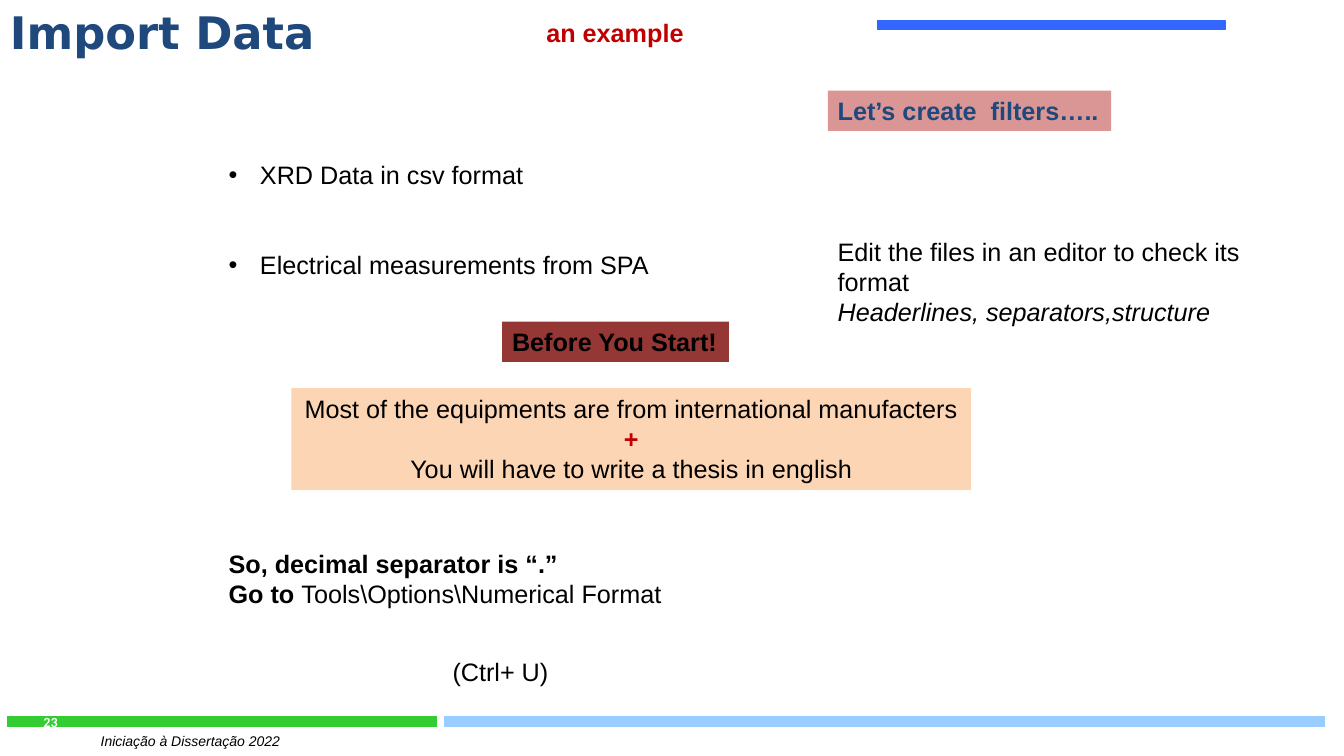
"""Build the Import Data slide."""
from dataclasses import dataclass

from lxml.etree import SubElement
from pptx import Presentation
from pptx.dml.color import RGBColor
from pptx.enum.shapes import MSO_SHAPE as Shape
from pptx.enum.text import MSO_ANCHOR as Anchor, MSO_AUTO_SIZE as Fit, PP_ALIGN as Align
from pptx.oxml.ns import qn
from pptx.util import Inches, Pt


@dataclass(frozen=True)
class Theme:
    font: str = "Arial"
    title_font: str = "DejaVu Sans"
    number_font: str = "Calibri"
    title: int = 32
    body: int = 18
    small: int = 10
    black: str = "000000"
    white: str = "FFFFFF"
    navy: str = "1F497D"
    red: str = "C00000"
    rose: str = "D99694"
    maroon: str = "953735"
    peach: str = "FCD5B5"
    green: str = "33CC33"
    sky: str = "99CCFF"
    blue: str = "3366FF"


THEME = Theme()


def add_bar(page, left, top, width, height, color):
    bar = page.shapes.add_shape(
        Shape.RECTANGLE, Inches(left), Inches(top), Inches(width), Inches(height))
    bar.shadow.inherit = False
    bar.fill.solid()
    bar.fill.fore_color.rgb = bar.line.color.rgb = RGBColor.from_string(color)
    bar.line.width = Pt(0.75)


def add_box(page, left, top, width, height, fill=None, wrap=False, anchor=Anchor.TOP):
    box = page.shapes.add_textbox(Inches(left), Inches(top), Inches(width), Inches(height))
    if fill:
        box.fill.solid()
        box.fill.fore_color.rgb = RGBColor.from_string(fill)
    frame = box.text_frame
    frame.word_wrap = wrap
    frame.auto_size = Fit.NONE if wrap else Fit.SHAPE_TO_FIT_TEXT
    frame.vertical_anchor = anchor
    return box


def add_para(box, align=Align.LEFT, space_before=0):
    frame = box.text_frame
    para = frame.add_paragraph() if frame.paragraphs[0].runs else frame.paragraphs[0]
    para.alignment = align
    para.space_before = Pt(space_before)
    return para


def add_span(para, text, size=THEME.body, color=THEME.black, font=THEME.font,
             bold=False, italic=False):
    span = para.add_run()
    span.text = text
    span.font.name = font
    span.font.size = Pt(size)
    span.font.bold = bold
    span.font.italic = italic
    span.font.color.rgb = RGBColor.from_string(color)


def add_label(page, place, text, fill=None, **style):
    add_span(add_para(add_box(page, *place, fill=fill)), text, **style)


def set_bullet(para):
    properties = para._p.get_or_add_pPr()
    indent = Inches(0.31)
    properties.set("marL", str(indent))
    properties.set("indent", str(-indent))
    SubElement(properties, qn("a:buFont")).set("typeface", THEME.font)
    SubElement(properties, qn("a:buChar")).set("char", "•")


def add_frame(page):
    add_bar(page, 4.41, 7.11, 8.73, 0.1, THEME.sky)
    add_bar(page, 0.07, 7.11, 4.26, 0.1, THEME.green)
    add_bar(page, 8.7, 0.2, 3.45, 0.09, THEME.blue)
    add_label(page, (0.9, 7.22, 1.99, 0.27), "Iniciação à Dissertação 2022",
              size=THEME.small, italic=True)
    number = add_box(page, 0, 6.96, 0.67, 0.4, wrap=True, anchor=Anchor.MIDDLE)
    add_span(add_para(number, align=Align.RIGHT), "23", size=THEME.small,
             color=THEME.white, font=THEME.number_font, bold=True)


def add_sources(page):
    box = add_box(page, 2.17, 1.53, 4.41, 1.31)
    for text, gap in (("XRD Data in csv format", 0),
                      ("Electrical measurements from SPA", 43)):
        para = add_para(box, space_before=gap)
        set_bullet(para)
        add_span(para, text)


def add_reasons(page):
    box = add_box(page, 2.89, 3.85, 6.74, 1.01, fill=THEME.peach)
    for text, style in (
            ("Most of the equipments are from international manufacters", {}),
            ("+", {"color": THEME.red, "bold": True}),
            ("You will have to write a thesis in english", {})):
        add_span(add_para(box, align=Align.CENTER), text, **style)


def add_settings(page):
    box = add_box(page, 2.17, 5.39, 4.54, 0.71)
    add_span(add_para(box), "So, decimal separator is “.”", bold=True)
    para = add_para(box)
    add_span(para, "Go to ", bold=True)
    add_span(para, "Tools\\Options\\Numerical Format")


def add_advice(page):
    box = add_box(page, 8.21, 2.29, 4.91, 0.71)
    add_span(add_para(box), "Edit the files in an editor to check its format")
    add_span(add_para(box), "Headerlines, separators,structure", italic=True)


def main():
    deck = Presentation()
    deck.slide_width, deck.slide_height = Inches(13.33), Inches(7.5)
    page = deck.slides.add_slide(deck.slide_layouts[6])
    add_frame(page)
    add_label(page, (5.32, 0.12, 1.58, 0.4), "an example", color=THEME.red, bold=True)
    add_sources(page)
    add_label(page, (8.21, 0.9, 2.81, 0.4), "Let’s create  filters…..",
              fill=THEME.rose, color=THEME.navy, bold=True)
    add_label(page, (4.98, 3.19, 2.25, 0.4), "Before You Start!",
              fill=THEME.maroon, bold=True)
    add_reasons(page)
    add_settings(page)
    add_label(page, (4.39, 6.46, 1.16, 0.4), "(Ctrl+ U)")
    add_advice(page)
    add_label(page, (0, 0, 3.3, 0.64), "Import Data", size=THEME.title,
              color=THEME.navy, font=THEME.title_font, bold=True)
    deck.save("out.pptx")


if __name__ == "__main__":
    main()
